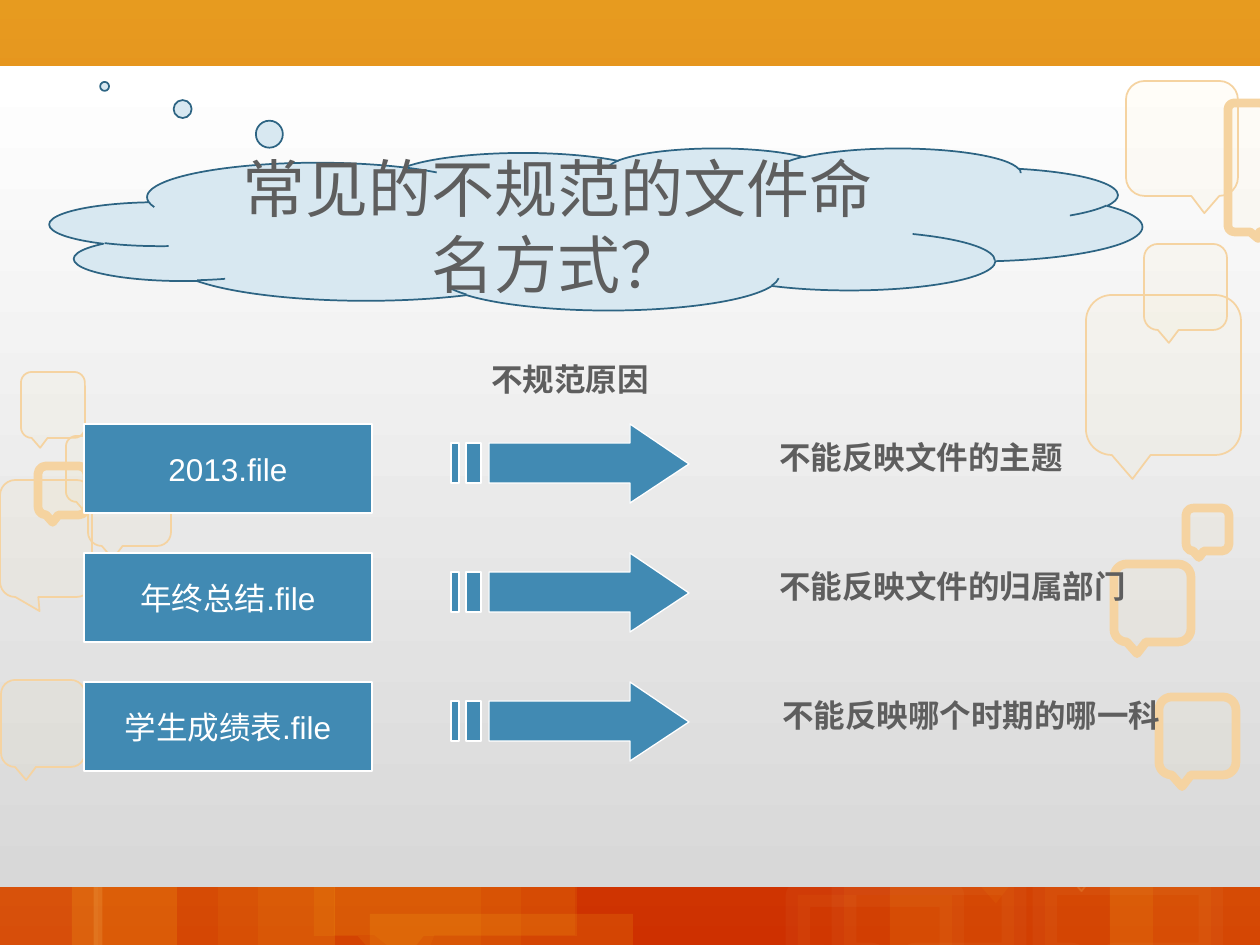
"""Build a slide on file names that break naming rules, with the reason for each."""
import pptx
import pptx.util
import pptx.dml.color
import pptx.enum.shapes
import pptx.enum.text
import pptx.oxml.ns
import lxml.etree

PX = 914400 / 126
RGB = pptx.dml.color.RGBColor
SHAPE = pptx.enum.shapes.MSO_SHAPE
ALIGN = pptx.enum.text.PP_ALIGN
ANCHOR = pptx.enum.text.MSO_ANCHOR
ORANGE = RGB(0xE2, 0x91, 0x21)
RED = RGB(0xCE, 0x30, 0x00)
WHITE = RGB(0xFF, 0xFF, 0xFF)
GREY = RGB(0xD8, 0xD8, 0xD8)
GOLD = RGB(0xFD, 0xC5, 0x1B)
CREAM = RGB(0xFE, 0xEA, 0xAC)
YELLOW = RGB(0xFF, 0xE1, 0x81)
SAND = RGB(0xF5, 0xD3, 0xA1)
SKY = RGB(0xD8, 0xE8, 0xF1)
NAVY = RGB(0x2D, 0x64, 0x83)
BLUE = RGB(0x41, 0x8A, 0xB3)
TEXT = RGB(0x5E, 0x5E, 0x5E)
TAIL = (-0.2, 0.65)

prs = pptx.Presentation()
prs.slide_width = pptx.util.Inches(10)
prs.slide_height = pptx.util.Inches(7.5)
s = prs.slides.add_slide(prs.slide_layouts[6])


def add_shape(kind, box, fill, line=None, width=1, tail=(), alpha=100, line_alpha=100):
    sp = s.shapes.add_shape(kind, *[round(v * PX) for v in box])
    sp.shadow.inherit = False
    for i, value in enumerate(tail):
        sp.adjustments[i] = value
    sp.fill.solid()
    sp.fill.fore_color.rgb = fill
    if line is None:
        sp.line.fill.background()
    else:
        sp.line.color.rgb = line
        sp.line.width = pptx.util.Pt(width)
    opacities = (alpha,) if line is None else (alpha, line_alpha)
    for clr, opacity in zip(sp.element.spPr.iter(pptx.oxml.ns.qn("a:srgbClr")), opacities):
        if opacity < 100:
            node = lxml.etree.SubElement(clr, pptx.oxml.ns.qn("a:alpha"))
            node.set("val", str(opacity * 1000))
    return sp


def write(sp, text, size, font, color, bold=False, align=ALIGN.LEFT, wrap=False):
    tf = sp.text_frame
    tf.word_wrap = wrap
    p = tf.paragraphs[0]
    p.alignment = align
    r = p.add_run()
    r.text = text
    r.font.size = pptx.util.Pt(size)
    r.font.name = font
    r.font.bold = bold
    r.font.color.rgb = color


panel = add_shape(SHAPE.RECTANGLE, (0, 66, 1260, 821), WHITE)
for fill, colors in ((s.background.fill, (ORANGE, RED)), (panel.fill, (WHITE, GREY))):
    fill.gradient()
    fill.gradient_angle = 270
    for stop, color in zip(fill.gradient_stops, colors):
        stop.color.rgb = color

band_tiles = [
    ((334, 672, 241, 263), (-0.14, 0.64), 7),
    ((314, 673, 263, 263), TAIL, 10),
    ((72, 790, 263, 165), TAIL, 16),
    ((-5, -6, 1265, 263), (-0.2, 0.45), 20),
    ((370, 914, 263, 263), TAIL, 14),
    ((1110, 708, 156, 242), (0.05, 0.6), 16),
    ((917, 601, 263, 263), TAIL, 5),
    ((-9, 682, 186, 263), (0, 0.61), 16),
    ((258, 872, 263, 263), TAIL, 7),
    ((890, 708, 263, 263), TAIL, 10),
    ((218, 752, 263, 203), TAIL, 7),
]
for box, tail, alpha in band_tiles:
    sp = add_shape(SHAPE.RECTANGULAR_CALLOUT, box, GOLD, tail=tail, alpha=alpha)
    panel.element.addprevious(sp.element)

outlined_tiles = [
    ((798, 895, 154, 62), GOLD, CREAM, 14, 3),
    ((844, 883, 170, 72), GOLD, CREAM, 14, 3),
    ((1045, 883, 166, 72), GOLD, CREAM, 14, 3),
    ((-9, 850, 107, 103), YELLOW, YELLOW, 5, 14),
    ((1051, 774, 102, 102), YELLOW, YELLOW, 1, 14),
]
for box, fill, line, width, line_alpha in outlined_tiles:
    sp = add_shape(SHAPE.RECTANGULAR_CALLOUT, box, fill, line, width, TAIL, 5, line_alpha)
    panel.element.addprevious(sp.element)

bubbles = [
    ((1, 680, 84, 87), 1, TAIL),
    ((1086, 295, 155, 160), 1, TAIL),
    ((1228, 103, 38, 129), 5, (0.29, 0.55)),
    ((1144, 244, 83, 86), 1, TAIL),
    ((1126, 81, 112, 115), 1, (0.2, 0.65)),
    ((1114, 564, 77, 78), 5, TAIL),
    ((1159, 697, 77, 78), 5, TAIL),
    ((1186, 508, 43, 43), 5, TAIL),
    ((21, 372, 64, 66), 1, TAIL),
    ((66, 436, 63, 66), 1, TAIL),
    ((38, 466, 49, 49), 5, TAIL),
    ((88, 460, 83, 86), 1, TAIL),
    ((0, 480, 92, 117), 1, (-0.07, 0.62)),
]
for box, width, tail in bubbles:
    add_shape(SHAPE.ROUNDED_RECTANGULAR_CALLOUT, box, YELLOW, SAND, width, tail, 5)

cloud = add_shape(SHAPE.CLOUD_CALLOUT, (50, 148, 1092, 162), SKY, NAVY, tail=(-0.45, -0.88))
cloud.text_frame.vertical_anchor = ANCHOR.MIDDLE
write(cloud, "常见的不规范的文件命名方式？", 36, "Calibri", TEXT, align=ALIGN.CENTER, wrap=True)

arrow_parts = [
    [(630, 0), (630, 19), (489, 19), (489, 59), (630, 59), (630, 79), (689, 40)],
    [(466, 19), (466, 59), (481, 59), (481, 19)],
    [(451, 19), (451, 59), (459, 59), (459, 19)],
]
rows = [
    ("2013.file", "不能反映文件的主题", 767, 309),
    ("年终总结.file", "不能反映文件的归属部门", 767, 372),
    ("学生成绩表.file", "不能反映哪个时期的哪一科", 770, 403),
]
labels = [("不规范原因", 479, 354, 183)]
for i, (name, reason, left, width) in enumerate(rows):
    top = 424 + 129 * i
    box = add_shape(SHAPE.RECTANGLE, (84, top, 288, 89), BLUE, WHITE, 0.75)
    box.text_frame.vertical_anchor = ANCHOR.MIDDLE
    write(box, name, 18, "Arial", WHITE, align=ALIGN.CENTER)

    fb = s.shapes.build_freeform(630, top, scale=PX)
    for part in arrow_parts:
        points = [(x, top + y) for x, y in part]
        fb.move_to(*points[0])
        fb.add_line_segments(points[1:], close=True)
    arrow = fb.convert_to_shape()
    arrow.shadow.inherit = False
    arrow.fill.solid()
    arrow.fill.fore_color.rgb = BLUE
    arrow.line.color.rgb = WHITE
    arrow.line.width = pptx.util.Pt(0.75)
    labels.append((reason, left, top + 8, width))

for text, left, top, width in labels:
    tb = s.shapes.add_textbox(*[round(v * PX) for v in (left, top, width, 50)])
    write(tb, text, 18, "Arial", TEXT, bold=True)

prs.save("out.pptx")
